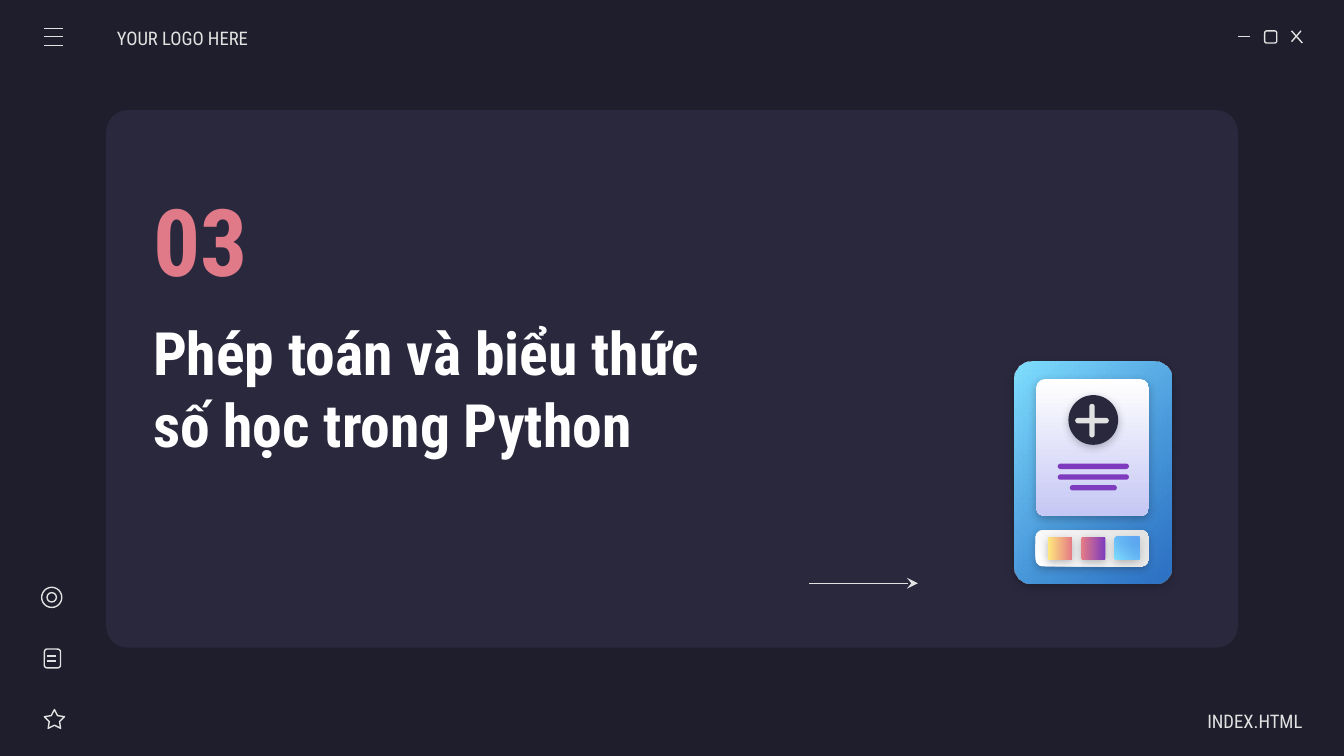
from dataclasses import dataclass
from typing import Optional

import pptx
import pptx.dml.color
import pptx.enum.dml
import pptx.enum.shapes
import pptx.enum.text
import pptx.oxml
import pptx.oxml.ns
import pptx.util
from pptx.util import Inches

HUES = {
    "night": "1E1E2C", "card": "29283D", "pale": "E2E2E2", "white": "FFFFFF",
    "rose": "E07A88", "coral": "E57C85", "plum": "7E3BBE", "lilac": "C5C7F4",
    "sky": "80DFFF", "blue": "318FFA", "lemon": "FFEA7D",
}
FONT = "Roboto Condensed"
KIND = pptx.enum.shapes.MSO_SHAPE
ALIGN = pptx.enum.text.PP_ALIGN
qn = pptx.oxml.ns.qn


@dataclass
class Blend:
    start: str
    end: str
    angle: int  # clockwise degrees
    alpha: int = 100  # opacity of the end colour


@dataclass
class Form:
    left: float
    top: float
    width: float
    height: float
    fill: Optional[str] = None
    blend: Optional[Blend] = None
    kind: int = KIND.ROUNDED_RECTANGLE
    adj: Optional[float] = None
    turn: int = 0
    glow: int = 0  # shadow opacity, 0 for none


@dataclass
class Line:
    x1: float
    y1: float
    x2: float
    y2: float
    arrow: bool = False


@dataclass
class Label:
    text: str
    size: int
    hue: str = "pale"
    bold: bool = False
    align: int = ALIGN.LEFT
    space: Optional[float] = None


def rgb(name: str) -> pptx.dml.color.RGBColor:
    return pptx.dml.color.RGBColor.from_string(HUES[name])


def add_xml(host, tag: str, **attrs):
    node = host.makeelement(qn(tag), attrs)
    host.append(node)
    return node


def set_blend(shape, blend: Blend) -> None:
    shape.fill.gradient()
    shape.fill.gradient_angle = (360 - blend.angle) % 360
    first, last = shape.fill.gradient_stops
    first.color.rgb, last.color.rgb = rgb(blend.start), rgb(blend.end)
    if blend.alpha < 100:
        tint = list(shape.element.spPr.iter(qn("a:srgbClr")))[-1]
        add_xml(tint, "a:alpha", val=str(blend.alpha * 1000))


def set_glow(shape, alpha: int) -> None:
    effects = shape.element.spPr.find(qn("a:effectLst"))
    shade = add_xml(effects, "a:outerShdw", blurRad=str(pptx.util.Pt(4.5)),
                    dist=str(pptx.util.Pt(1.5)), dir="5400000",
                    algn="bl", rotWithShape="0")
    tint = add_xml(shade, "a:srgbClr", val=HUES["night"])
    add_xml(tint, "a:alpha", val=str(alpha * 1000))


def draw_form(slide, form: Form) -> None:
    shape = slide.shapes.add_shape(
        form.kind, Inches(form.left), Inches(form.top),
        Inches(form.width), Inches(form.height))
    shape.shadow.inherit = False
    shape.rotation = form.turn
    if form.adj is not None:
        shape.adjustments[0] = form.adj
    if form.blend:
        set_blend(shape, form.blend)
    elif form.fill:
        shape.fill.solid()
        shape.fill.fore_color.rgb = rgb(form.fill)
    else:
        shape.fill.background()
    # Unfilled forms are outline icons
    if form.fill or form.blend:
        shape.line.fill.background()
    else:
        shape.line.color.rgb = rgb("pale")
        shape.line.width = pptx.util.Pt(0.75)
    if form.glow:
        set_glow(shape, form.glow)


def draw_line(slide, line: Line) -> None:
    link = slide.shapes.add_connector(
        pptx.enum.shapes.MSO_CONNECTOR.STRAIGHT, Inches(line.x1),
        Inches(line.y1), Inches(line.x2), Inches(line.y2))
    link.line.color.rgb = rgb("pale")
    link.line.width = pptx.util.Pt(0.75)
    if line.arrow:
        add_xml(link.element.spPr.find(qn("a:ln")), "a:tailEnd", type="stealth")
    add_xml(link.element.spPr, "a:effectLst")


def write(box, label: Label, pads: tuple, middle: bool = True) -> None:
    frame = box.text_frame
    frame.word_wrap = True
    frame.auto_size = pptx.enum.text.MSO_AUTO_SIZE.NONE
    anchor = pptx.enum.text.MSO_ANCHOR
    frame.vertical_anchor = anchor.MIDDLE if middle else anchor.TOP
    (frame.margin_left, frame.margin_top,
     frame.margin_right, frame.margin_bottom) = map(Inches, pads)
    para = frame.paragraphs[0]
    para.text = label.text
    para.alignment = label.align
    if label.space:
        para.line_spacing = label.space
    para.font.name = FONT
    para.font.size = pptx.util.Pt(label.size)
    para.font.bold = label.bold
    para.font.color.rgb = rgb(label.hue)


def add_box(slide, left: float, top: float, width: float, height: float):
    return slide.shapes.add_textbox(
        Inches(left), Inches(top), Inches(width), Inches(height))


def main() -> None:
    deck = pptx.Presentation()
    deck.slide_width = Inches(10)
    deck.slide_height = Inches(10) * 9 // 16
    slide = deck.slides.add_slide(deck.slide_layouts[5])
    slide.background.fill.solid()
    slide.background.fill.fore_color.rgb = rgb("night")

    # Main card, with the section number above it
    draw_form(slide, Form(0.79, 0.82, 8.42, 4, "card", adj=0.04))
    title = slide.shapes.title
    title.left, title.top = Inches(1.04), Inches(1.33)
    title.width, title.height = Inches(1.2), Inches(0.9)
    title.element.getparent().append(title.element)
    write(title, Label("03", 50, "rose", True), (0.1, 0.1, 0.1, 0.1))
    write(add_box(slide, 1.04, 2.3, 4.55, 1.18),
          Label("Phép toán và biểu thức số học trong Python", 32, "white", True),
          (0.1, 0.05, 0.1, 0.05), middle=False)

    # Corner labels
    write(add_box(slide, 0.87, 0.12, 1.17, 0.3),
          Label("YOUR LOGO HERE", 10, space=1.15), (0, 0.1, 0.1, 0.1))
    write(add_box(slide, 8.52, 5.2, 1.17, 0.3),
          Label("INDEX.HTML", 10, align=ALIGN.RIGHT, space=1.15),
          (0.1, 0.1, 0, 0.1))

    # Menu, window buttons, page icon strokes and arrow
    lines = [Line(0.33, y, 0.47, y) for y in (0.21, 0.27, 0.34)]
    lines += [Line(0.35, y, 0.42, y) for y in (4.88, 4.92)]
    lines += [
        Line(9.21, 0.27, 9.3, 0.27),
        Line(9.61, 0.23, 9.69, 0.32),
        Line(9.68, 0.23, 9.61, 0.31),
        Line(6.02, 4.34, 6.83, 4.34, arrow=True),
    ]
    for line in lines:
        draw_line(slide, line)

    # Outline icons
    icons = [
        Form(9.41, 0.23, 0.09, 0.09),
        Form(0.33, 5.28, 0.15, 0.14, kind=KIND.STAR_5_POINT, adj=0.254),
        Form(0.33, 4.83, 0.12, 0.14),
        Form(0.31, 4.37, 0.15, 0.15, kind=KIND.OVAL),
        Form(0.35, 4.41, 0.07, 0.07, kind=KIND.OVAL),
    ]

    # Device: body, screen, text bars, plus badge, tray and swatches
    water = Blend("sky", "blue", 45, 72)
    device = [
        Form(7.55, 2.69, 1.17, 1.65, blend=water, adj=0.108, glow=100),
        Form(7.71, 2.82, 0.84, 1.02, blend=Blend("white", "lilac", 90),
             adj=0.08, glow=30),
    ]
    for row, (left, width) in enumerate([(7.87, 0.53)] * 2 + [(7.96, 0.35)]):
        device.append(Form(left, 3.45 + 0.08 * row, width, 0.04, "plum", adj=0.5))
    device.append(Form(7.95, 2.94, 0.37, 0.37, "card", kind=KIND.OVAL, glow=30))
    device += [Form(8, 3.11, 0.25, 0.04, "pale", adj=0.5, turn=turn)
               for turn in (0, 90)]
    device.append(Form(7.99, 3.66, 0.27, 0.84, blend=Blend("white", "pale", 45),
                       adj=0.198, turn=270, glow=30))
    inks = [Blend("lemon", "coral", 90), Blend("coral", "plum", 90), water]
    device += [Form(7.8 + 0.25 * col, 3.99, 0.17, 0.18, blend=ink, adj=0.073,
                    turn=270, glow=30) for col, ink in enumerate(inks)]
    for form in icons + device:
        draw_form(slide, form)

    deck.save("out.pptx")


if __name__ == "__main__":
    main()
